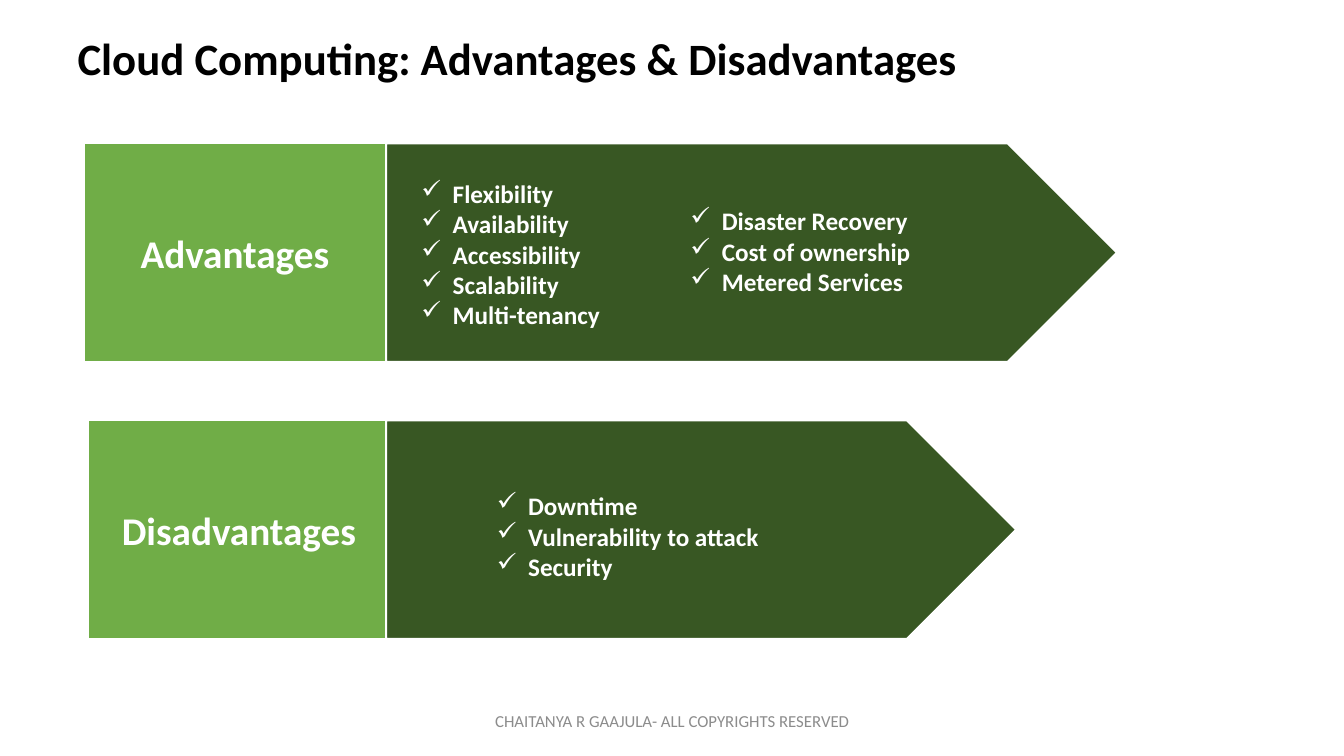
import pptx
import pptx.dml.color
import pptx.enum.shapes
import pptx.enum.text
import pptx.oxml
import pptx.oxml.ns
import pptx.util

Cm, Pt = pptx.util.Cm, pptx.util.Pt
RGBColor = pptx.dml.color.RGBColor
MSO_SHAPE = pptx.enum.shapes.MSO_SHAPE
PP_ALIGN = pptx.enum.text.PP_ALIGN
MSO_ANCHOR = pptx.enum.text.MSO_ANCHOR
MSO_AUTO_SIZE = pptx.enum.text.MSO_AUTO_SIZE

BLACK = RGBColor(0x00, 0x00, 0x00)
WHITE = RGBColor(0xFF, 0xFF, 0xFF)
LIGHT_GREEN = RGBColor(0x70, 0xAD, 0x47)
DARK_GREEN = RGBColor(0x38, 0x57, 0x23)
GREY = RGBColor(0x8C, 0x8C, 0x8C)

TITLE = {"size": Pt(32), "bold": True}
LABEL = {"size": Pt(28), "bold": True}
ITEM = {"size": Pt(18), "bold": True}
FOOTER = {"size": Pt(12), "bold": False}

LABEL_W = 7.62
ARROW_X = 9.73
BAND_H = 5.51
BAND_TOP = 3.61
BAND_PITCH = 6.98
INDENT = Cm(0.79)

# Label, label left, arrow width, and lists as (x, y, width, items) within the arrow
BANDS = [
    ("Advantages", 2.11, 18.42, [
        (0.64, 0.76, 6.15, ["Flexibility", "Availability", "Accessibility",
                            "Scalability", "Multi-tenancy"]),
        (7.42, 1.45, 6.55, ["Disaster Recovery", "Cost of ownership",
                            "Metered Services"]),
    ]),
    ("Disadvantages", 2.21, 15.88, [
        (2.54, 1.65, 8.69, ["Downtime", "Vulnerability to attack", "Security"]),
    ]),
]


def add_text(p, text, fmt, color):
    r = p.add_run()
    r.text = text
    r.font.name = "Calibri"
    r.font.color.rgb = color
    for name, value in fmt.items():
        setattr(r.font, name, value)


def add_block(slide, kind, x, y, w, h, fill):
    sp = slide.shapes.add_shape(kind, Cm(x), Cm(y), Cm(w), Cm(h))
    sp.shadow.inherit = False
    sp.fill.solid()
    sp.fill.fore_color.rgb = fill
    sp.line.color.rgb = WHITE
    sp.line.width = Pt(1.5)
    return sp


def add_title(slide, x, y, w, h):
    sp = slide.shapes.title
    for name, value in zip(("left", "top", "width", "height"), (x, y, w, h)):
        setattr(sp, name, Cm(value))
    tf = sp.text_frame
    tf.vertical_anchor = MSO_ANCHOR.MIDDLE
    p = tf.paragraphs[0]
    p.alignment = PP_ALIGN.LEFT
    p.line_spacing = 0.9
    add_text(p, "Cloud Computing: Advantages & Disadvantages", TITLE, BLACK)


def add_checklist(slide, x, y, w, items):
    h = 0.25 + 0.77 * len(items)
    tf = slide.shapes.add_textbox(Cm(x), Cm(y), Cm(w), Cm(h)).text_frame
    tf.word_wrap = True
    tf.auto_size = MSO_AUTO_SIZE.SHAPE_TO_FIT_TEXT
    for i, item in enumerate(items):
        p = tf.add_paragraph() if i else tf.paragraphs[0]
        pPr = p._p.get_or_add_pPr()
        pPr.set("marL", str(INDENT))
        pPr.set("indent", str(-INDENT))
        bullet = pptx.oxml.parse_xml(
            f'<a:buChar {pptx.oxml.ns.nsdecls("a")} char="✓"/>')
        pPr.append(bullet)
        add_text(p, item, ITEM, WHITE)


def add_band(slide, y, label, label_x, arrow_w, lists):
    """Draw a label block and an arrow holding check lists."""
    sp = add_block(slide, MSO_SHAPE.RECTANGLE, label_x, y, LABEL_W, BAND_H,
                   LIGHT_GREEN)
    tf = sp.text_frame
    tf.vertical_anchor = MSO_ANCHOR.MIDDLE
    p = tf.paragraphs[0]
    p.alignment = PP_ALIGN.CENTER
    add_text(p, label, LABEL, WHITE)
    add_block(slide, MSO_SHAPE.PENTAGON, ARROW_X, y, arrow_w, BAND_H, DARK_GREEN)
    for dx, dy, w, items in lists:
        add_checklist(slide, ARROW_X + dx, y + dy, w, items)


def add_footer(slide, x, y, w, h):
    tf = slide.shapes.add_textbox(Cm(x), Cm(y), Cm(w), Cm(h)).text_frame
    tf.word_wrap = True
    tf.vertical_anchor = MSO_ANCHOR.MIDDLE
    p = tf.paragraphs[0]
    p.alignment = PP_ALIGN.CENTER
    add_text(p, "CHAITANYA R GAAJULA- ALL COPYRIGHTS RESERVED", FOOTER, GREY)


def main():
    prs = pptx.Presentation()
    prs.slide_width, prs.slide_height = Cm(33.87), Cm(19.05)
    slide = prs.slides.add_slide(prs.slide_layouts.get_by_name("Title Only"))
    add_title(slide, 1.7, 0.76, 30.48, 1.57)
    for i, band in enumerate(BANDS):
        add_band(slide, BAND_TOP + i * BAND_PITCH, *band)
    add_footer(slide, 11.23, 17.65, 11.43, 1.02)
    prs.save("out.pptx")


if __name__ == "__main__":
    main()
